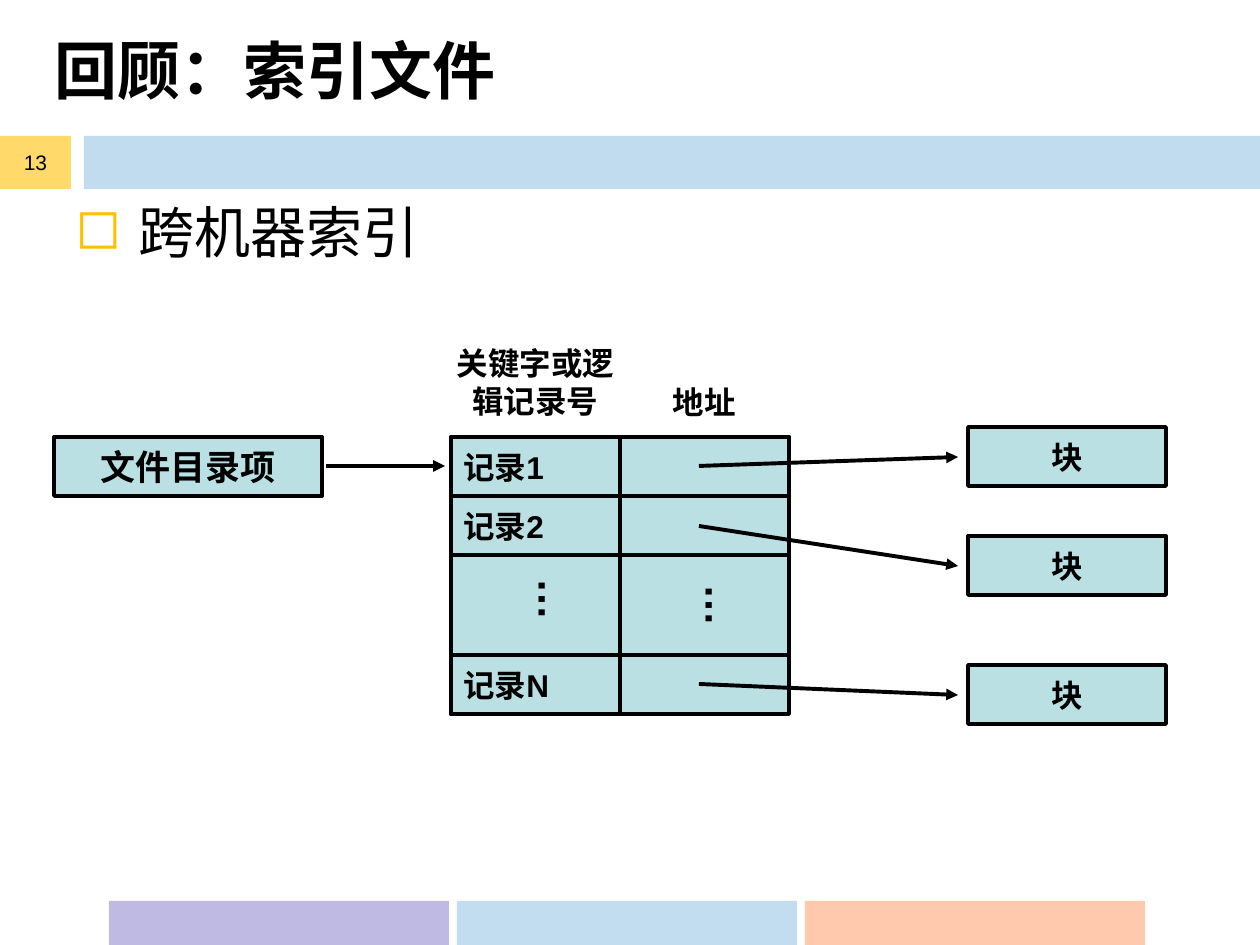
from lxml.etree import SubElement
from pptx import Presentation
from pptx.dml.color import RGBColor
from pptx.enum.shapes import MSO_CONNECTOR as Conn, MSO_SHAPE as Kind
from pptx.enum.text import MSO_ANCHOR as Anchor, MSO_AUTO_SIZE as Fit, PP_ALIGN as Align
from pptx.oxml.ns import qn
from pptx.util import Pt

SCALE = 914400 / 126
TEAL = "BBE0E3"
INK = "000000"


def px(*nums):
    """Turn px lengths into EMU."""
    return [round(n * SCALE) for n in nums]


def paint(fmt, color, alpha=100):
    """Give a fill a solid colour, with opacity in percent."""
    fmt.solid()
    fmt.fore_color.rgb = RGBColor.from_string(color)
    if alpha < 100:
        clr = fmt._xPr.find(qn("a:solidFill"))[0]
        SubElement(clr, qn("a:alpha"), val=str(alpha * 1000))


def write(shape, text, size, bold=True, align=Align.CENTER, font="Arial"):
    """Write one paragraph into a shape and return it."""
    shape.text_frame.word_wrap = True
    para = shape.text_frame.paragraphs[0]
    para.text = text
    para.alignment = align
    para.font.size = Pt(size)
    para.font.bold = bold
    para.font.name = font
    paint(para.font.fill, INK)
    return para


def rect(slide, box, color, alpha=100, edge=False):
    """Draw a rectangle, with a black edge if asked."""
    shape = slide.shapes.add_shape(Kind.RECTANGLE, *px(*box))
    shape.shadow.inherit = False
    paint(shape.fill, color, alpha)
    if edge:
        paint(shape.line.fill, INK)
        shape.line.width = Pt(2.25)
    else:
        shape.line.fill.background()
    shape.text_frame.vertical_anchor = Anchor.MIDDLE
    return shape


def node(slide, box, text, size=18, align=Align.CENTER):
    """Draw a teal box with bold text."""
    write(rect(slide, box, TEAL, edge=True), text, size, align=align)


def line(slide, ends, arrow=True):
    """Draw a black line, with an arrowhead at its end if asked."""
    conn = slide.shapes.add_connector(Conn.STRAIGHT, *px(*ends))
    paint(conn.line.fill, INK)
    conn.line.width = Pt(2.25)
    if arrow:
        SubElement(conn.line._get_or_add_ln(), qn("a:tailEnd"), type="triangle")
    SubElement(conn._element.spPr, qn("a:effectLst"))
    return conn


def label(slide, box, text, size=18, vert=False):
    """Place a bold centred label, upright or in a vertical column."""
    shape = slide.shapes.add_textbox(*px(*box))
    write(shape, text, size)
    shape.text_frame.auto_size = Fit.SHAPE_TO_FIT_TEXT
    if vert:
        shape.text_frame._txBody.bodyPr.set("vert", "eaVert")


def frame(slide, wide, high):
    """Draw the header band, page number and footer bars."""
    rect(slide, (84, 136, wide - 84, 53), "0070C0", 24)
    page = rect(slide, (0, 136, 71, 53), "FFC000", 59)
    write(page, "13", 12, bold=False)
    bars = [("BFBAE4", 100), ("C2DDF0", 100), ("FF9966", 53)]
    for i, (color, alpha) in enumerate(bars):
        rect(slide, (109 + 348 * i, high - 44, 340, 45), color, alpha)


def heads(slide, left, top):
    """Place the title and the bullet line."""
    title = slide.shapes.add_textbox(*px(left, top, 1183, 158))
    title.text_frame.vertical_anchor = Anchor.MIDDLE
    write(title, "回顾：索引文件", 36, align=Align.LEFT, font="Times New Roman")
    body = slide.shapes.add_textbox(*px(left + 21, top + 209, 1134, 645))
    props = body.text_frame.paragraphs[0]._p.get_or_add_pPr()
    props.set("marL", "457200")
    props.set("indent", "-457200")
    SubElement(SubElement(props, qn("a:buClr")), qn("a:srgbClr"), val="FFC000")
    SubElement(props, qn("a:buChar"), char="◻")
    para = write(body, "跨机器索引", 32, bold=False, align=Align.LEFT)
    para.line_spacing = 0.9


def table(slide, left, top, wide, high):
    """Draw the index table with its rows, divider and labels."""
    back = rect(slide, (left, top, wide, high), TEAL, edge=True)
    for y, name in [(0, "1"), (59, "2"), (high - 59, "N")]:
        node(slide, (left, top + y, wide, 59), "记录" + name, align=Align.LEFT)
    mid = left + wide // 2
    split = line(slide, (mid, top, mid, top + high), arrow=False)
    split.begin_connect(back, 0)
    split.end_connect(back, 2)
    label(slide, (left + 59, top + 129, 77, 79), "…", 24, vert=True)
    label(slide, (left + 226, top + 135, 77, 79), "…", 24, vert=True)
    label(slide, (left - 10, top - 99, 189, 88), "关键字或逻辑记录号")
    label(slide, (left + 189, top - 60, 129, 50), "地址")


def blocks(slide, left, wide, start, pairs):
    """Draw each block with the arrow that leads to it."""
    for row, top in pairs:
        node(slide, (left, top, wide, 59), "块")
        line(slide, (start, row, left - 10, top + 30))


def main():
    """Build and save the slide."""
    deck = Presentation()
    deck.slide_width, deck.slide_height = px(1260, 945)
    slide = deck.slides.add_slide(deck.slide_layouts[6])
    frame(slide, 1260, 945)
    heads(slide, 42, -10)
    node(slide, (54, 437, 268, 59), "文件目录项", 20)
    table(slide, 451, 437, 338, 277)
    line(slide, (326, 466, 445, 466))
    blocks(slide, 968, 198, 699, [(466, 427), (526, 536), (684, 665)])
    deck.save("out.pptx")


if __name__ == "__main__":
    main()
